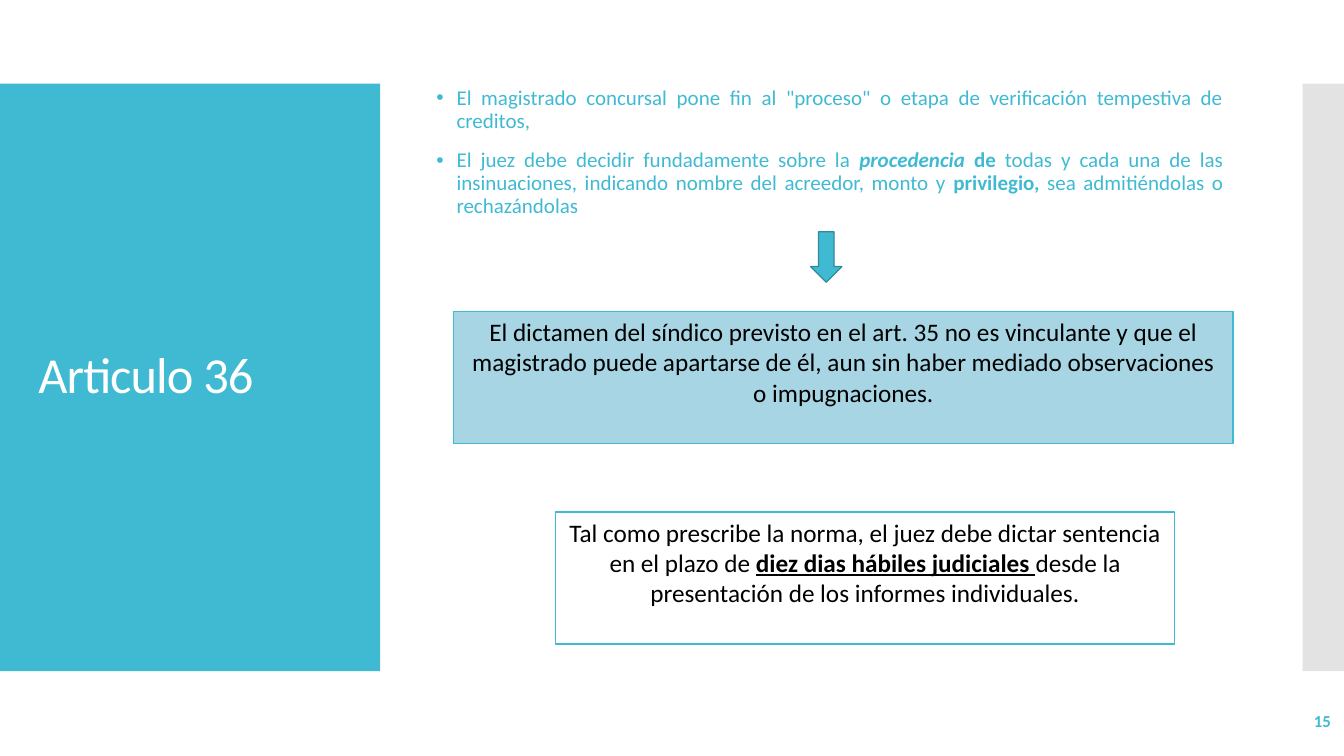
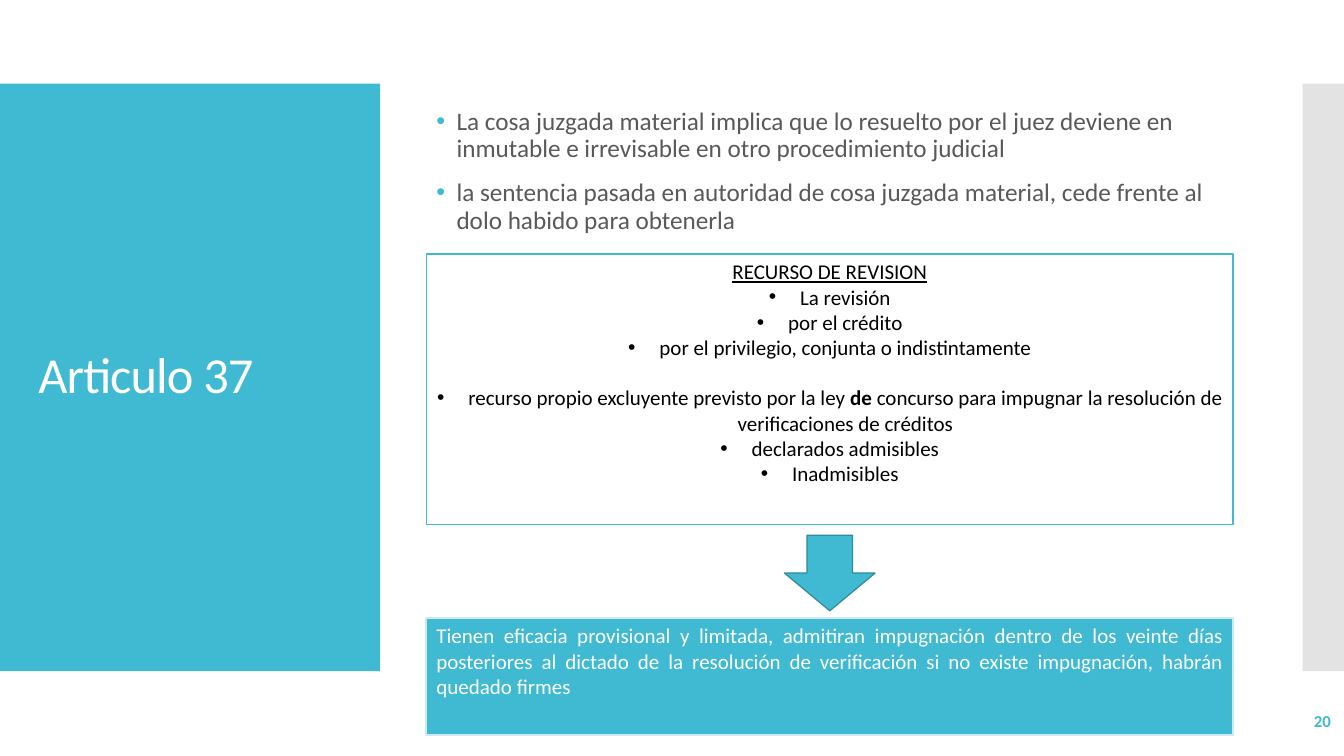
from dataclasses import dataclass, field
from typing import Any, Optional

import pptx
import pptx.dml.color
import pptx.enum.shapes
import pptx.enum.text
import pptx.oxml
import pptx.oxml.ns
import pptx.presentation
import pptx.shapes.autoshape
import pptx.slide
import pptx.text.text
import pptx.util

Inches = pptx.util.Inches
Pt = pptx.util.Pt
RGBColor = pptx.dml.color.RGBColor
Align = pptx.enum.text.PP_ALIGN
Anchor = pptx.enum.text.MSO_ANCHOR
Preset = pptx.enum.shapes.MSO_SHAPE

# Shared look
TEAL = RGBColor(0x40, 0xBA, 0xD2)
DARK_TEAL = RGBColor(0x2F, 0x8A, 0x9B)
PALE_TEAL = RGBColor(0xA7, 0xD5, 0xE3)
MIST = RGBColor(0xCD, 0xEA, 0xF1)
BAND_GRAY = RGBColor(0xE3, 0xE3, 0xE3)
TEXT_GRAY = RGBColor(0x59, 0x59, 0x59)
BLACK = RGBColor(0, 0, 0)
WHITE = RGBColor(0xFF, 0xFF, 0xFF)
FONT = "Calibri"

BAND_TOP, BAND_HEIGHT = 0.83, 5.83
CONTENT_LEFT, CONTENT_WIDTH = 4.23, 8

BOLD = {"bold": True}
BOLD_ITALIC = {"bold": True, "italic": True}
UNDERLINE = {"underline": True}
BOLD_UNDERLINE = {"bold": True, "underline": True}


@dataclass
class Box:
    left: float
    top: float
    width: float
    height: float

    def lengths(self) -> list[pptx.util.Length]:
        return [Inches(v) for v in (self.left, self.top, self.width, self.height)]


@dataclass
class Span:
    text: str
    format: dict[str, Any] = field(default_factory=dict)


@dataclass
class Bullet:
    indent: float
    color: RGBColor


@dataclass
class Para:
    spans: list[Span]
    bullet: Optional[Bullet] = None
    space_before: float = 0


@dataclass
class Style:
    size: float
    color: RGBColor
    align: Align = Align.LEFT
    spacing: float = 1.0
    bold: bool = False
    anchor: Anchor = Anchor.TOP


@dataclass
class Panel:
    box: Box
    fill: RGBColor
    line: RGBColor
    line_width: float
    style: Optional[Style] = None
    paras: list[Para] = field(default_factory=list)
    preset: Preset = Preset.RECTANGLE


@dataclass
class Article:
    title: str
    number: str
    points_box: Box
    points_style: Style
    points: list[Para]
    panels: list[Panel]


TITLE_STYLE = Style(36, WHITE, spacing=0.9, anchor=Anchor.MIDDLE)
NUMBER_STYLE = Style(12, TEAL, Align.RIGHT, bold=True, anchor=Anchor.MIDDLE)
POINT_BULLET = Bullet(0.2, TEAL)
APPEAL_BULLET = Bullet(0.31, BLACK)


def add_bullet(paragraph: pptx.text.text._Paragraph, bullet: Bullet) -> None:
    props = paragraph._p.get_or_add_pPr()
    props.set("marL", str(Inches(bullet.indent)))
    props.set("indent", str(-Inches(bullet.indent)))
    namespace = pptx.oxml.ns.nsdecls("a")
    for xml in (
        f'<a:buClr {namespace}><a:srgbClr val="{bullet.color}"/></a:buClr>',
        f'<a:buFont {namespace} typeface="Arial"/>',
        f'<a:buChar {namespace} char="•"/>',
    ):
        props.append(pptx.oxml.parse_xml(xml))


def write(frame: pptx.text.text.TextFrame, paras: list[Para], style: Style) -> None:
    frame.word_wrap = True
    frame.auto_size = pptx.enum.text.MSO_AUTO_SIZE.NONE
    frame.vertical_anchor = style.anchor
    for index, para in enumerate(paras):
        paragraph = frame.paragraphs[0] if index == 0 else frame.add_paragraph()
        if para.bullet:
            add_bullet(paragraph, para.bullet)
        layout = {
            "alignment": style.align,
            "line_spacing": style.spacing,
            "space_before": Pt(para.space_before),
        }
        for name, value in layout.items():
            setattr(paragraph, name, value)
        for span in para.spans:
            run = paragraph.add_run()
            run.text = span.text
            run.font.color.rgb = style.color
            base = {"name": FONT, "size": Pt(style.size), "bold": style.bold}
            for name, value in (base | span.format).items():
                setattr(run.font, name, value)


def add_block(
    slide: pptx.slide.Slide, box: Box, fill: RGBColor, preset: Preset = Preset.RECTANGLE
) -> pptx.shapes.autoshape.Shape:
    block = slide.shapes.add_shape(preset, *box.lengths())
    block.shadow.inherit = False
    block.fill.solid()
    block.fill.fore_color.rgb = fill
    block.line.fill.background()
    return block


def add_panel(slide: pptx.slide.Slide, panel: Panel) -> None:
    block = add_block(slide, panel.box, panel.fill, panel.preset)
    block.line.color.rgb = panel.line
    block.line.width = Pt(panel.line_width)
    if panel.style:
        write(block.text_frame, panel.paras, panel.style)


def add_text(slide: pptx.slide.Slide, box: Box, paras: list[Para], style: Style) -> None:
    write(slide.shapes.add_textbox(*box.lengths()).text_frame, paras, style)


def add_title(slide: pptx.slide.Slide, text: str) -> None:
    title = slide.shapes.title
    sides = ("left", "top", "width", "height")
    for side, length in zip(sides, Box(0.28, 1.23, 3.22, 5.03).lengths()):
        setattr(title, side, length)
    write(title.text_frame, [Para([Span(text)])], TITLE_STYLE)
    title.text_frame.paragraphs[0].runs[0].font._element.set("spc", "-60")
    # Bring the title in front of its band
    title.element.getparent().append(title.element)


def add_article(deck: pptx.presentation.Presentation, article: Article) -> None:
    slide = deck.slides.add_slide(deck.slide_layouts[5])
    # Side bands and title
    add_block(slide, Box(0, BAND_TOP, 3.77, BAND_HEIGHT), TEAL)
    add_block(slide, Box(12.92, BAND_TOP, 0.41, BAND_HEIGHT), BAND_GRAY)
    add_title(slide, article.title)
    # Content
    add_text(slide, article.points_box, article.points, article.points_style)
    for panel in article.panels:
        add_panel(slide, panel)
    # Slide number
    add_text(slide, Box(11.63, 6.95, 1.67, 0.4), [Para([Span(article.number)])], NUMBER_STYLE)


def down_arrow(box: Box) -> Panel:
    return Panel(box, TEAL, DARK_TEAL, 0.85, preset=Preset.DOWN_ARROW)


def appeal_item(*spans: Span, space_before: float = 0) -> Para:
    return Para(list(spans), APPEAL_BULLET, space_before)


RULING_STYLE = Style(18, BLACK, Align.CENTER)

ARTICLE_36 = Article(
    title="Articulo 36",
    number="15",
    points_box=Box(CONTENT_LEFT, 0.82, CONTENT_WIDTH, 1.45),
    points_style=Style(15, TEAL, Align.JUSTIFY, 0.9),
    points=[
        Para([Span('El magistrado concursal pone fin al "proceso" o etapa de '
                   "verificación tempestiva de creditos,")], POINT_BULLET),
        Para([
            Span("El juez debe decidir fundadamente sobre la "),
            Span("procedencia ", BOLD_ITALIC),
            Span("de ", BOLD),
            Span("todas y cada una de las insinuaciones, indicando nombre del "
                 "acreedor, monto y "),
            Span("privilegio, ", BOLD),
            Span("sea admitiéndolas o rechazándolas"),
        ], POINT_BULLET, 12),
    ],
    panels=[
        Panel(Box(4.5, 3.09, 7.73, 1.31), PALE_TEAL, TEAL, 0.75, RULING_STYLE, [
            Para([Span("El dictamen del síndico previsto en el art. 35 no es vinculante y "
                       "que el magistrado puede apartarse de él, aun sin haber mediado "
                       "observaciones o impugnaciones.")]),
        ]),
        down_arrow(Box(8.04, 2.3, 0.31, 0.5)),
        Panel(Box(5.51, 5.08, 6.14, 1.31), WHITE, TEAL, 0.85, RULING_STYLE, [
            Para([
                Span("Tal como prescribe la norma, el juez debe dictar sentencia en el "
                     "plazo de "),
                Span("diez dias hábiles judiciales ", BOLD_UNDERLINE),
                Span("desde la presentación de los informes individuales."),
            ]),
        ]),
    ],
)

ARTICLE_37 = Article(
    title="Articulo 37",
    number="20",
    points_box=Box(CONTENT_LEFT, 1.03, CONTENT_WIDTH, 1.45),
    points_style=Style(18, TEXT_GRAY, spacing=0.9),
    points=[
        Para([Span("La cosa juzgada material implica que lo resuelto por el juez deviene "
                   "en inmutable e irrevisable en otro procedimiento judicial")],
             POINT_BULLET),
        Para([Span("la sentencia pasada en autoridad de cosa juzgada material, cede "
                   "frente al dolo habido para obtenerla")], POINT_BULLET, 12),
    ],
    panels=[
        Panel(
            Box(CONTENT_LEFT, 2.52, CONTENT_WIDTH, 2.68), WHITE, TEAL, 0.85,
            Style(15, BLACK, Align.CENTER),
            [
                Para([Span("RECURSO DE REVISION", UNDERLINE)]),
                appeal_item(Span("La revisión")),
                appeal_item(Span("por el crédito")),
                appeal_item(Span("por el privilegio, conjunta o indistintamente")),
                appeal_item(
                    Span("recurso propio excluyente previsto por la ley "),
                    Span("de ", BOLD),
                    Span("concurso para impugnar la resolución de verificaciones de "
                         "créditos"),
                    space_before=18,
                ),
                appeal_item(Span("declarados admisibles")),
                appeal_item(Span("Inadmisibles")),
            ],
        ),
        Panel(
            Box(CONTENT_LEFT, 6.13, CONTENT_WIDTH, 1.16), TEAL, MIST, 1.35,
            Style(15, WHITE, Align.JUSTIFY),
            [Para([Span("Tienen eficacia provisional y limitada, admitiran impugnación "
                        "dentro de los veinte días posteriores al dictado de la "
                        "resolución de verificación si no existe impugnación, habrán "
                        "quedado firmes")])],
        ),
        down_arrow(Box(7.78, 5.31, 0.9, 0.75)),
    ],
)


def main() -> None:
    deck = pptx.Presentation()
    deck.slide_width = Inches(13.33)
    deck.slide_height = Inches(7.5)
    for article in (ARTICLE_36, ARTICLE_37):
        add_article(deck, article)
    deck.save("out.pptx")


if __name__ == "__main__":
    main()
